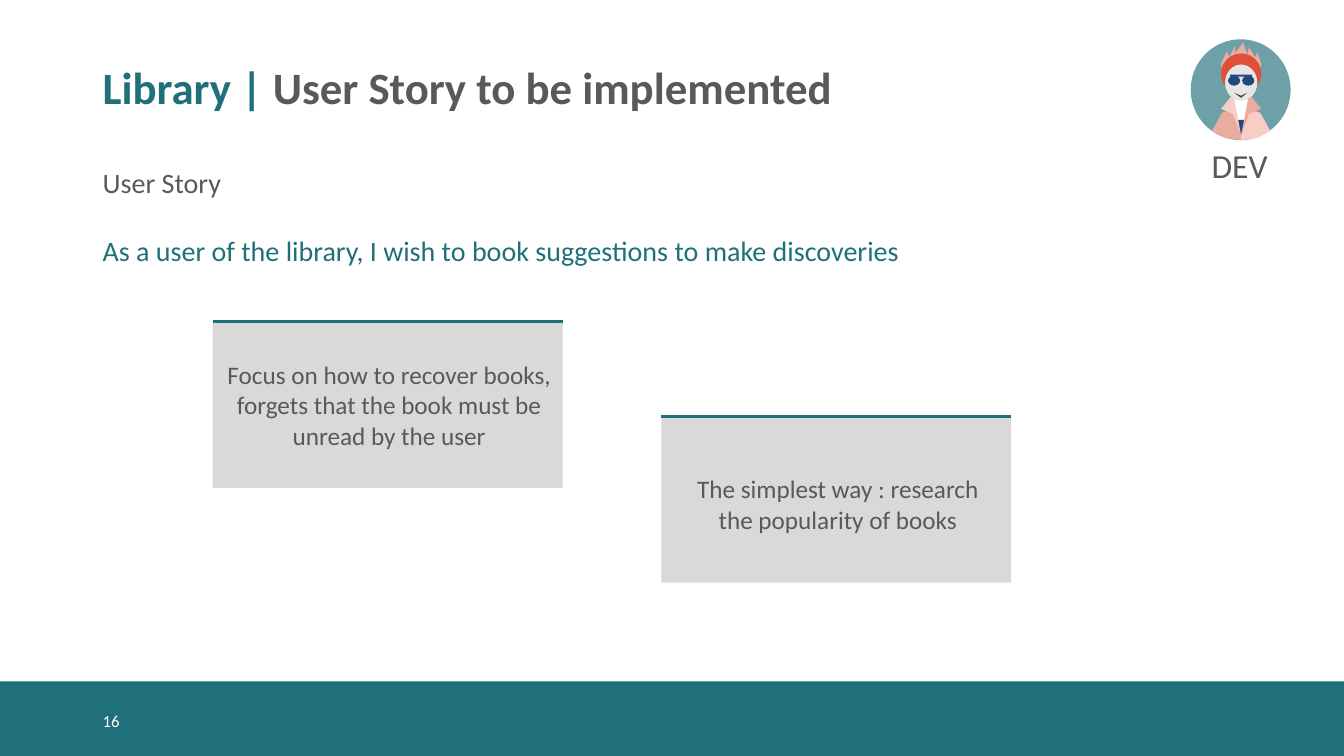
import pptx
import pptx.util
import pptx.dml.color
import pptx.enum.shapes
import pptx.enum.text
import pptx.oxml.ns
import lxml.etree

Inches = pptx.util.Inches
Pt = pptx.util.Pt
SHAPES = pptx.enum.shapes.MSO_SHAPE
ANCHOR = pptx.enum.text.MSO_ANCHOR
ALIGN = pptx.enum.text.PP_ALIGN
COLORS = {
    "teal": "1F7079", "text": "595959", "white": "FFFFFF", "card": "D9D9D9",
    "rose": "EAACA1", "blush": "F7CDC5", "hair": "DE5037", "navy": "1F497D",
    "pale": "E6E6E6", "brown": "503D20",
}
INSETS = (0.1, 0.05, 0.1, 0.05)


def rgb(color):
    return pptx.dml.color.RGBColor.from_string(COLORS[color])


def paint(shape, color):
    shape.shadow.inherit = False
    shape.fill.solid()
    shape.fill.fore_color.rgb = rgb(color)
    shape.line.fill.background()


def add_filled(slide, kind, left, top, width, height, color):
    shape = slide.shapes.add_shape(kind, Inches(left), Inches(top), Inches(width), Inches(height))
    paint(shape, color)
    return shape


def add_outline(slide, left, top, points, color):
    corners = [(Inches(left + x), Inches(top + y)) for x, y in points]
    builder = slide.shapes.build_freeform(*corners[0])
    builder.add_line_segments(corners[1:], close=True)
    paint(builder.convert_to_shape(), color)


def add_text(slide, box, paragraphs, size, anchor=ANCHOR.MIDDLE, align=ALIGN.LEFT,
             insets=INSETS, bold=False, line_spacing=None, gap=0):
    """Add a text box; each paragraph is a list of (text, color) runs."""
    frame = slide.shapes.add_textbox(*map(Inches, box)).text_frame
    frame.word_wrap = True
    frame.vertical_anchor = anchor
    (frame.margin_left, frame.margin_top,
     frame.margin_right, frame.margin_bottom) = map(Inches, insets)
    for index, runs in enumerate(paragraphs):
        paragraph = frame.add_paragraph() if index else frame.paragraphs[0]
        paragraph.alignment = align
        if line_spacing:
            paragraph.line_spacing = line_spacing
        if index and gap:
            paragraph.space_before = Pt(gap)
        for text, color in runs:
            run = paragraph.add_run()
            run.text = text
            run.font.name = "Calibri"
            run.font.size = Pt(size)
            run.font.bold = bold
            run.font.color.rgb = rgb(color)


def add_avatar(slide, left, top):
    disc = add_filled(slide, SHAPES.OVAL, left, top, 0.99, 1, "teal")
    color = disc.fill._xPr.find(".//" + pptx.oxml.ns.qn("a:srgbClr"))
    lxml.etree.SubElement(color, pptx.oxml.ns.qn("a:alpha"), val="65000")

    middle = 0.5
    flames = [(0.32, 0.4), (0.3, 0.24), (0.36, 0.12), (0.38, 0.18), (0.44, 0.07), (0.44, 0.14),
              (0.52, 0.03), (0.56, 0.15), (0.58, 0.08), (0.64, 0.18), (0.66, 0.13),
              (0.7, 0.24), (0.68, 0.4)]
    jacket_half = [(middle, 0.66), (0.31, 0.73), (0.21, 0.91), (0.34, 0.98), (middle, 1)]
    lapel = [(middle, 0.95), (0.43, 0.59), (0.4, 0.57), (0.3, 0.69), (0.42, 0.74)]

    def mirrored(points):
        return [(2 * middle - x, y) for x, y in points]

    def add_oval(x, y, width, height, fill):
        add_filled(slide, SHAPES.OVAL, left + x, top + y, width, height, fill)

    add_outline(slide, left, top, flames, "rose")
    add_outline(slide, left, top, jacket_half, "rose")
    add_outline(slide, left, top, mirrored(jacket_half), "blush")
    add_filled(slide, SHAPES.RECTANGLE, left + 0.43, top + 0.5, 0.14, 0.22, "white")
    add_outline(slide, left, top, [(0.43, 0.7), (0.57, 0.7), (middle, 0.95)], "white")
    add_outline(slide, left, top, [(0.45, 0.8), (0.54, 0.8), (middle, 0.95)], "navy")
    add_oval(0.3, 0.14, 0.4, 0.4, "hair")
    add_oval(0.34, 0.25, 0.32, 0.36, "pale")
    for x in (0.37, 0.51):
        add_oval(x, 0.36, 0.12, 0.1, "navy")
    add_filled(slide, SHAPES.RECTANGLE, left + 0.39, top + 0.35, 0.22, 0.02, "navy")
    add_outline(slide, left, top, lapel, "blush")
    add_outline(slide, left, top, mirrored(lapel), "rose")
    add_outline(slide, left, top, [(0.43, 0.53), (middle, 0.56), (0.56, 0.53), (middle, 0.58)],
                "brown")
    add_text(slide, (left, top + 1, 0.97, 0.5), [[("DEV", "text")]], 24,
             anchor=ANCHOR.TOP, align=ALIGN.CENTER)


def add_card(slide, left, top, lines, text_drop=0):
    width, height = 3.47, 1.65
    add_filled(slide, SHAPES.RECTANGLE, left, top, width, height, "card")
    rule = slide.shapes.add_connector(pptx.enum.shapes.MSO_CONNECTOR.STRAIGHT, Inches(left),
                                      Inches(top), Inches(left + width), Inches(top))
    rule.line.color.rgb = rgb("teal")
    rule.line.width = Pt(2)
    lxml.etree.SubElement(rule._element.spPr, pptx.oxml.ns.qn("a:effectLst"))
    add_text(slide, (left + 0.1, top + text_drop, 3.28, height - text_drop),
             [[(line, "text")] for line in lines], 18, align=ALIGN.CENTER, insets=(0.02, 0, 0, 0))


def add_footer(slide, left, top, width, height):
    add_filled(slide, SHAPES.RECTANGLE, left, top, width, height, "teal")
    add_text(slide, (left + 0.92, top + 0.19, 1.37, 0.4), [[("16", "white")]], 12)


def add_heading(slide, left, top):
    add_text(slide, (left, top, 11.5, 0.99),
             [[("Library | ", "teal"), ("User Story to be implemented", "text")]],
             32, bold=True, line_spacing=0.9)
    add_text(slide, (left, top + 1.19, 8.25, 1.1),
             [[("User Story", "text")],
              [("As a user of the library, I wish to book suggestions to make discoveries",
                "teal")]], 20, anchor=ANCHOR.TOP, gap=24.4)


def main():
    presentation = pptx.Presentation()
    presentation.slide_width = Inches(13.33)
    presentation.slide_height = Inches(7.5)
    slide = presentation.slides.add_slide(presentation.slide_layouts[6])
    add_footer(slide, 0, 6.76, 13.33, 0.74)
    add_heading(slide, 0.92, 0.4)
    add_card(slide, 2.11, 3.19, ["Focus on how to recover books, forgets that the book "
                                 "must be unread by the user"])
    add_card(slide, 6.56, 4.13, ["The simplest way : research", "the popularity of books"],
             text_drop=0.09)
    add_avatar(slide, 11.81, 0.39)
    presentation.save("out.pptx")


if __name__ == "__main__":
    main()
